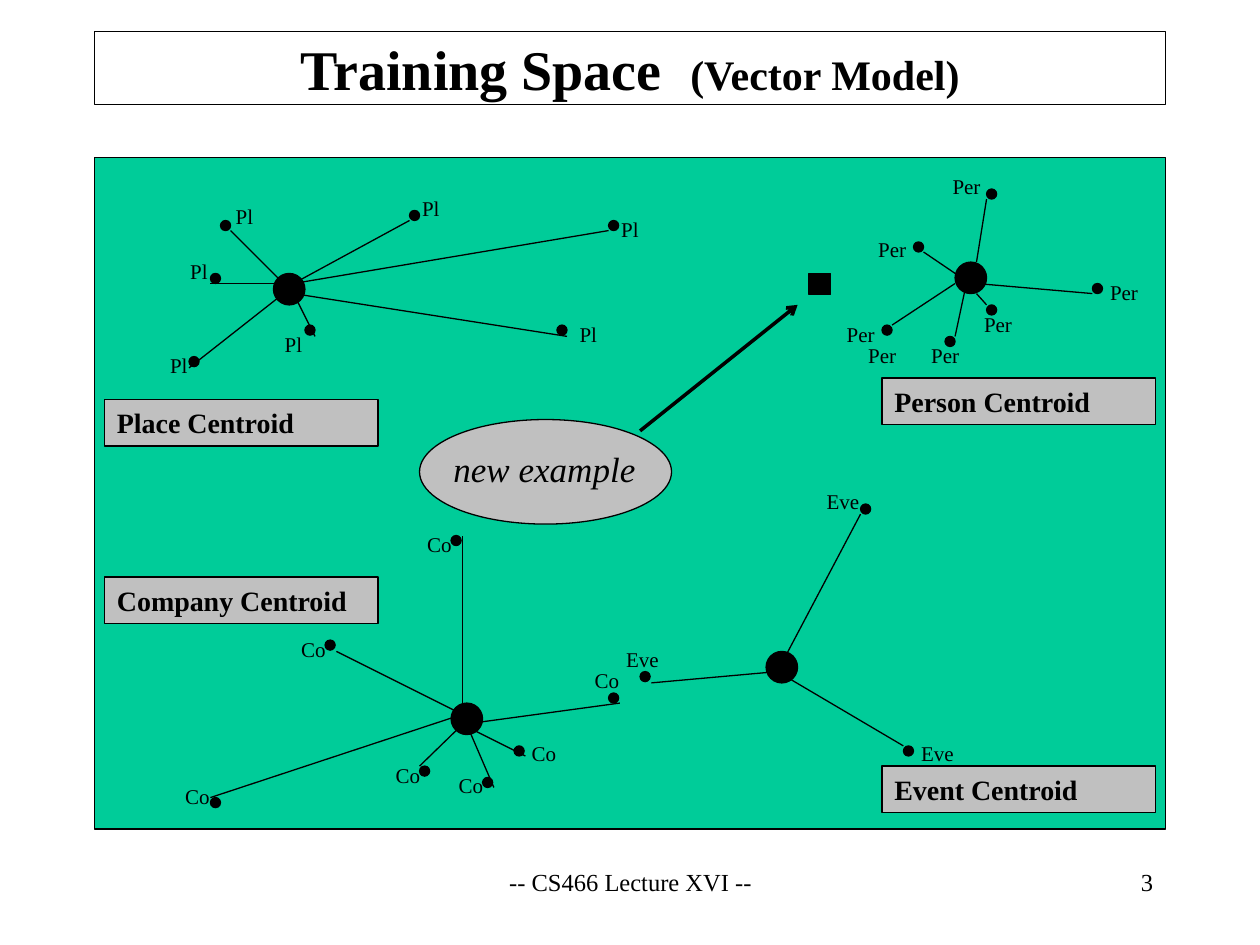
from dataclasses import dataclass

from lxml.etree import SubElement
from pptx import Presentation
from pptx.dml.color import RGBColor
from pptx.enum.shapes import MSO_CONNECTOR, MSO_SHAPE
from pptx.enum.text import MSO_ANCHOR, MSO_AUTO_SIZE, PP_ALIGN
from pptx.oxml.ns import qn
from pptx.util import Inches, Pt


@dataclass(frozen=True)
class Theme:
    font: str = "Times New Roman"
    ink: RGBColor = RGBColor(0x00, 0x00, 0x00)
    field: RGBColor = RGBColor(0x00, 0xCC, 0x99)
    panel: RGBColor = RGBColor(0xC0, 0xC0, 0xC0)
    title: int = 32
    subtitle: int = 24
    callout: int = 20
    caption: int = 16
    footer: int = 14
    label: int = 12
    outline: float = 0.75
    arrow: float = 2


theme = Theme()


def write(frame, text, size, bold=False, italic=False, align=PP_ALIGN.LEFT,
          anchor=MSO_ANCHOR.TOP, indent=0.1):
    """Append text as a run to the frame's first paragraph."""
    frame.word_wrap = True
    frame.auto_size = MSO_AUTO_SIZE.NONE
    frame.vertical_anchor = anchor
    frame.margin_left = Inches(indent)
    frame.margin_right = Inches(0.1)
    frame.margin_top = frame.margin_bottom = Inches(0.05)
    paragraph = frame.paragraphs[0]
    paragraph.alignment = align
    run = paragraph.add_run()
    run.text = text
    run.font.name = theme.font
    run.font.size = Pt(size)
    run.font.bold = bold
    run.font.italic = italic
    run.font.color.rgb = theme.ink


def draw_shape(preset, left, top, width, height, fill=theme.ink):
    shape = slide.shapes.add_shape(
        preset, Inches(left), Inches(top), Inches(width), Inches(height))
    shape.shadow.inherit = False
    shape.fill.solid()
    shape.fill.fore_color.rgb = fill
    shape.line.color.rgb = theme.ink
    shape.line.width = Pt(theme.outline)
    return shape


# Members: spoke start, spoke end, dot corner, label corner
clusters = [
    {"caption": "Place Centroid", "caption_at": (0.83, 3.17), "hub": (2.17, 2.17),
     "label": "Pl", "label_width": 0.48, "indent": 0.18, "members": [
         ((2.33, 2.33), (1.83, 1.83), (1.75, 1.75), (1.69, 1.57)),
         ((2.25, 2.33), (1.5, 2.92), (1.5, 2.83), (1.17, 2.75)),
         ((2.25, 2.25), (1.67, 2.25), (1.67, 2.17), (1.33, 2)),
         ((2.33, 2.25), (3.25, 1.75), (3.25, 1.67), (3.17, 1.5)),
         ((2.33, 2.33), (4.5, 2.67), (4.42, 2.58), (4.42, 2.5)),
         ((2.33, 2.33), (2.5, 2.67), (2.42, 2.58), (2.08, 2.58)),
         ((2.33, 2.25), (4.83, 1.83), (4.83, 1.75), (4.75, 1.67))]},
    {"caption": "Person Centroid", "caption_at": (7, 3), "hub": (7.58, 2.08),
     "label": "Per", "label_width": 0.67, "indent": 0.14, "members": [
         ((7.58, 2.25), (7.08, 2.58), (7, 2.58), (6.58, 2.5)),
         ((7.75, 2.33), (7.83, 2.42), (7.83, 2.42), (7.67, 2.42)),
         ((7.75, 2.08), (7.83, 1.58), (7.83, 1.5), (7.42, 1.33)),
         ((7.75, 2.25), (8.67, 2.33), (8.67, 2.25), (8.67, 2.17)),
         ((7.67, 2.25), (7.58, 2.67), (7.5, 2.67), (7.25, 2.67)),
         ((7.58, 2.17), (7.33, 2), (7.25, 1.92), (6.83, 1.83))],
     "loose_labels": [(6.75, 2.67)]},
    {"caption": "Company Centroid", "caption_at": (0.83, 4.58), "hub": (3.58, 5.58),
     "label": "Co", "label_width": 0.48, "indent": 0.14, "members": [
         ((3.67, 5.67), (3.67, 4.25), (3.58, 4.25), (3.25, 4.17)),
         ((3.67, 5.67), (2.67, 5.17), (2.58, 5.08), (2.25, 5)),
         ((3.67, 5.67), (1.67, 6.33), (1.67, 6.33), (1.33, 6.17)),
         ((3.67, 5.75), (4.92, 5.58), (4.83, 5.5), (4.58, 5.25)),
         ((3.67, 5.75), (3.33, 6.08), (3.33, 6.08), (3, 6)),
         ((3.67, 5.67), (3.92, 6.25), (3.83, 6.17), (3.5, 6.08)),
         ((3.67, 5.75), (4.17, 6), (4.08, 5.92), (4.08, 5.83))]},
    {"caption": "Event Centroid", "caption_at": (7, 6.08), "hub": (6.08, 5.17),
     "label": "Eve", "label_width": 0.67, "indent": 0.14, "members": [
         ((6.17, 5.33), (5.17, 5.42), (5.08, 5.33), (4.83, 5.08)),
         ((6.17, 5.33), (6.83, 4.08), (6.83, 4), (6.42, 3.83)),
         ((6.17, 5.33), (7.17, 5.92), (7.17, 5.92), (7.17, 5.83))]},
]

presentation = Presentation()
presentation.slide_width = Inches(10)
presentation.slide_height = Inches(7.5)
slide = presentation.slides.add_slide(presentation.slide_layouts[5])

# Title
heading = slide.shapes.title
heading.left, heading.top = Inches(0.75), Inches(0.25)
heading.width, heading.height = Inches(8.5), Inches(0.58)
heading.line.color.rgb = theme.ink
heading.line.width = Pt(theme.outline)
for part, size in [("Training Space  ", theme.title), ("(Vector Model)", theme.subtitle)]:
    write(heading.text_frame, part, size, bold=True,
          align=PP_ALIGN.CENTER, anchor=MSO_ANCHOR.MIDDLE)

# Vector space and the new example in it
draw_shape(MSO_SHAPE.RECTANGLE, 0.75, 1.25, 8.5, 5.33, theme.field)
draw_shape(MSO_SHAPE.RECTANGLE, 6.42, 2.17, 0.17, 0.17)
draw_shape(MSO_SHAPE.OVAL, 3.33, 3.33, 2, 0.83, theme.panel)

# Spokes, then the arrow to the new example
spokes = [(start, end, theme.outline, None)
          for cluster in clusters for start, end, *_ in cluster["members"]]
for start, end, weight, head in spokes + [((5.08, 3.42), (6.33, 2.42), theme.arrow, "arrow")]:
    link = slide.shapes.add_connector(
        MSO_CONNECTOR.STRAIGHT, *[Inches(value) for value in start + end])
    link.line.color.rgb = theme.ink
    link.line.width = Pt(weight)
    properties = link._element.spPr
    if head:
        SubElement(properties.find(qn("a:ln")), qn("a:tailEnd"), type=head)
    SubElement(properties, qn("a:effectLst"))

# Centroids, their captions and their members
texts = []
for cluster in clusters:
    draw_shape(MSO_SHAPE.OVAL, *cluster["hub"], 0.25, 0.25)
    caption = draw_shape(MSO_SHAPE.RECTANGLE, *cluster["caption_at"], 2.17, 0.37, theme.panel)
    write(caption.text_frame, cluster["caption"], theme.caption, bold=True)
    label_spots = list(cluster.get("loose_labels", []))
    for _, _, dot, label_at in cluster["members"]:
        draw_shape(MSO_SHAPE.OVAL, *dot, 0.08, 0.08)
        label_spots.append(label_at)
    texts += [(cluster["label"], (*spot, cluster["label_width"], 0.3),
               {"size": theme.label, "indent": cluster["indent"]}) for spot in label_spots]

# Free-standing text
texts += [
    ("new example", (3.5, 3.5, 1.75, 0.44), {"size": theme.callout, "italic": True}),
    ("-- CS466 Lecture XVI --", (3.42, 6.83, 3.17, 0.5),
     {"size": theme.footer, "align": PP_ALIGN.CENTER}),
    ("3", (7.17, 6.83, 2.08, 0.5), {"size": theme.footer, "align": PP_ALIGN.RIGHT}),
]
for wording, area, style in texts:
    holder = slide.shapes.add_textbox(*[Inches(value) for value in area])
    write(holder.text_frame, wording, **style)

presentation.save("out.pptx")
